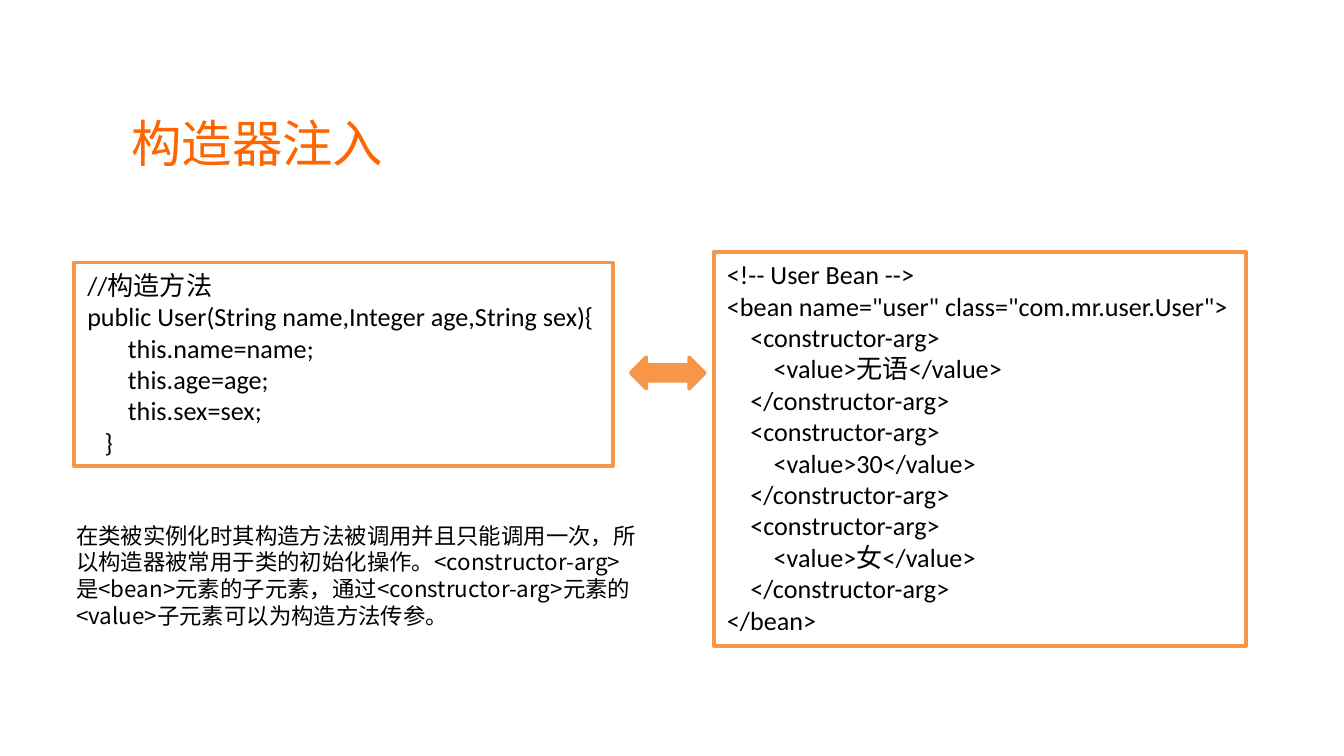
from pptx import Presentation
from pptx.dml.color import RGBColor
from pptx.enum.shapes import MSO_SHAPE as Shape
from pptx.enum.text import MSO_ANCHOR as Anchor, MSO_AUTO_SIZE as AutoSize, PP_ALIGN as Align
from pptx.oxml.ns import qn
from pptx.util import Cm, Pt

COLORS = {"title": "FF6600", "accent": "F79646", "text": "000000", "paper": "FFFFFF"}
CJK_FONT = "Noto Sans CJK SC"
SPACE = 0.11  # width of one code indent column, in cm

# Each code line is (indent columns, text).
CONSTRUCTOR = [
    (0, "//构造方法"),
    (0, "public User(String name,Integer age,String sex){"),
    *[(7, f"this.{field}={field};") for field in ("name", "age", "sex")],
    (3, "}"),
]
BEAN = [
    (0, "<!-- User Bean -->"),
    (0, '<bean name="user" class="com.mr.user.User">'),
    *[
        line
        for value in ("无语", "30", "女")
        for line in (
            (4, "<constructor-arg>"),
            (8, f"<value>{value}</value>"),
            (4, "</constructor-arg>"),
        )
    ],
    (0, "</bean>"),
]
EXPLANATION = (
    "在类被实例化时其构造方法被调用并且只能调用一次，所以构造器被常用于类的初始化操作。"
    "<constructor-arg>是<bean>元素的子元素，通过<constructor-arg>元素的<value>子元素"
    "可以为构造方法传参。"
)


def color(name):
    """Return the named palette colour."""
    return RGBColor.from_string(COLORS[name])


def write(p, text, size, font, ink="text"):
    """Fill a left-aligned paragraph and set its Latin and East Asian fonts."""
    r = p.add_run()
    r.text = text
    p.alignment = Align.LEFT
    p.font.size, p.font.name = Pt(size), font
    p.font.color.rgb = color(ink)
    r.font.size, r.font.name = Pt(size), font
    r.font.color.rgb = color(ink)
    latin = r.font._element.find(qn("a:latin"))
    ea = latin.makeelement(qn("a:ea"), {"typeface": CJK_FONT})
    latin.addnext(ea)


def add_shape(slide, kind, box, fill):
    """Add a flat preset shape with the accent outline."""
    sp = slide.shapes.add_shape(kind, *map(Cm, box))
    sp.shadow.inherit = False
    sp.fill.solid()
    sp.fill.fore_color.rgb = color(fill)
    sp.line.color.rgb = color("accent")
    sp.line.width = Pt(2)
    return sp


def add_title(slide, text, box):
    """Move the title placeholder to the box and fill it."""
    sp = slide.shapes.title
    sp.left, sp.top, sp.width, sp.height = map(Cm, box)
    tf = sp.text_frame
    tf.vertical_anchor = Anchor.MIDDLE
    tf.margin_left = tf.margin_right = Cm(0.19)
    tf.margin_top = tf.margin_bottom = Cm(0.1)
    write(tf.paragraphs[0], text, 27, "Arial", "title")


def add_code(slide, lines, box):
    """Add an outlined code panel, one indented paragraph per line."""
    tf = add_shape(slide, Shape.RECTANGLE, box, "paper").text_frame
    tf.word_wrap = False
    tf.auto_size = AutoSize.SHAPE_TO_FIT_TEXT
    tf.vertical_anchor = Anchor.TOP
    for i, (columns, text) in enumerate(lines):
        p = tf.add_paragraph() if i else tf.paragraphs[0]
        write(p, text, 14, "Calibri")
        if columns:
            p._p.get_or_add_pPr().set("marL", str(Cm(columns * SPACE)))


def add_explanation(slide, text, box):
    """Add the wrapped explanatory paragraph."""
    tf = slide.shapes.add_textbox(*map(Cm, box)).text_frame
    tf.word_wrap = True
    tf.auto_size = AutoSize.SHAPE_TO_FIT_TEXT
    write(tf.paragraphs[0], text, 12, CJK_FONT)


def build():
    """Build and save the constructor injection slide."""
    prs = Presentation()
    prs.slide_width, prs.slide_height = Cm(25.4), Cm(14.28)
    slide = prs.slides.add_slide(prs.slide_layouts[5])
    add_title(slide, "构造器注入", (2.29, 1.7, 18.16, 1.96))
    add_code(slide, CONSTRUCTOR, (1.4, 4.96, 10.18, 3.84))
    add_code(slide, BEAN, (13.49, 4.76, 10.06, 7.44))
    add_explanation(slide, EXPLANATION, (1.19, 9.73, 11.13, 2.31))
    add_shape(slide, Shape.LEFT_RIGHT_ARROW, (11.92, 6.75, 1.4, 0.59), "accent")
    prs.save("out.pptx")


build()
